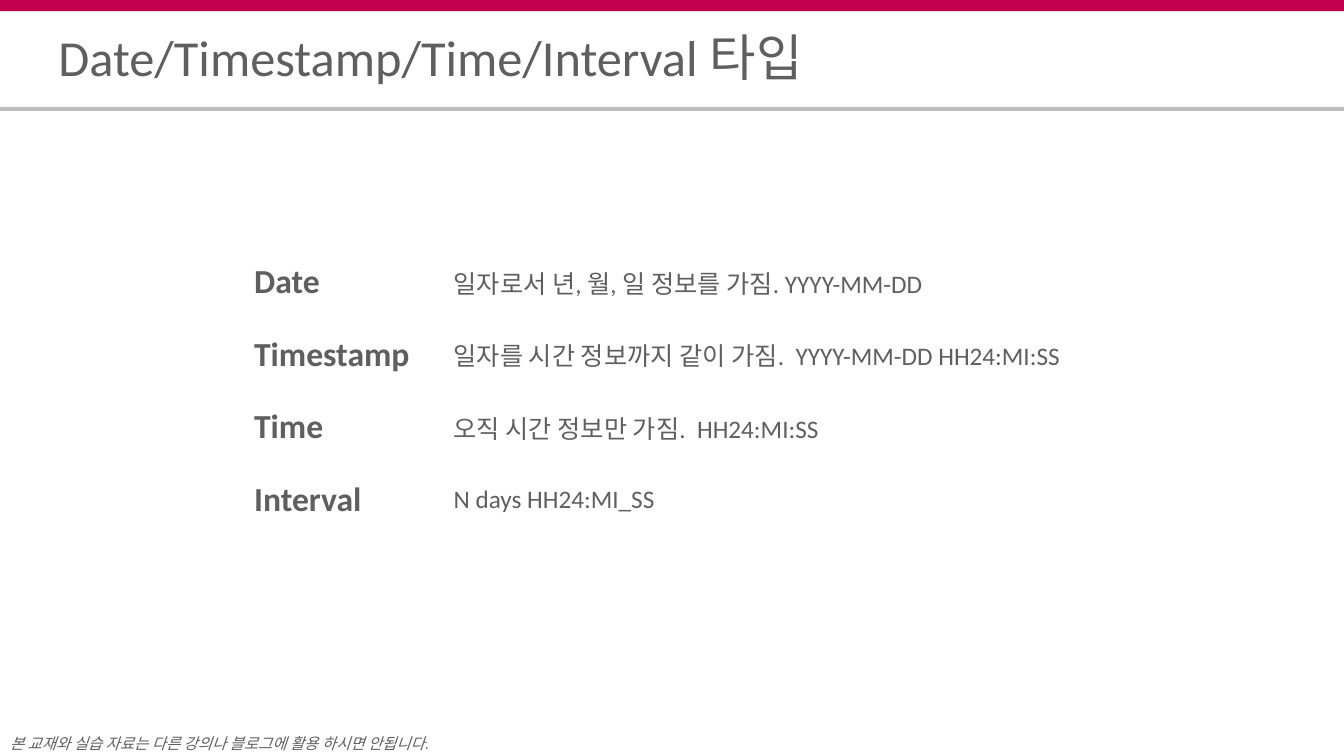
from pptx import Presentation, util as u
from pptx.dml.color import RGBColor
from pptx.enum import shapes, text

TITLE = "Date/Timestamp/Time/Interval 타입"
NOTICE = "본 교재와 실습 자료는 다른 강의나 블로그에 활용 하시면 안됩니다."
TYPES = [
    ("Date", "일자로서 년, 월, 일 정보를 가짐. YYYY-MM-DD"),
    ("Timestamp", "일자를 시간 정보까지 같이 가짐.  YYYY-MM-DD HH24:MI:SS"),
    ("Time", "오직 시간 정보만 가짐.  HH24:MI:SS"),
    ("Interval", "N days HH24:MI_SS"),
]
THEME = {
    "accent": "C3004D",
    "rule": "BFBFBF",
    "text": "5F5F5F",
    "title": {"name": "Calibri", "size": u.Pt(36)},
    "term": {"name": "Calibri", "size": u.Pt(24), "bold": True},
    "detail": {"name": "Calibri", "size": u.Pt(18), "bold": False},
    "notice": {"name": "Arial", "size": u.Pt(11), "italic": True},
}
BARS = [(0, 0, 13.33, 0.11, "accent"), (0, 1.06, 13.33, 0.04, "rule")]
COLUMNS = (1.98, 10.19)
ROW_HEIGHT = 0.72
TABLE_LEFT, TABLE_TOP = 2.42, 2.44


def color(key):
    return RGBColor.from_string(THEME[key])


def write(tf, content, style, spacing=None):
    p = tf.paragraphs[0]
    p.line_spacing = spacing
    r = p.add_run()
    r.text = content
    for name, value in THEME[style].items():
        setattr(r.font, name, value)
    r.font.color.rgb = color("text")


def add_label(s, box, content, style, spacing, anchor):
    tf = s.shapes.add_textbox(*map(u.Inches, box)).text_frame
    settings = {"word_wrap": True, "vertical_anchor": anchor, "margin_left": 0,
                "margin_top": 0, "margin_right": 0, "margin_bottom": 0}
    for name, value in settings.items():
        setattr(tf, name, value)
    write(tf, content, style, spacing)


def add_bar(s, left, top, width, height, fill):
    sp = s.shapes.add_shape(shapes.MSO_SHAPE.RECTANGLE,
                            *map(u.Inches, (left, top, width, height)))
    sp.shadow.inherit = False
    sp.fill.solid()
    sp.fill.fore_color.rgb = color(fill)
    sp.line.fill.background()


def add_types(s):
    box = (TABLE_LEFT, TABLE_TOP, sum(COLUMNS), ROW_HEIGHT * len(TYPES))
    table = s.shapes.add_table(len(TYPES), len(COLUMNS), *map(u.Inches, box)).table
    table.first_row = table.horz_banding = False
    for column, width in zip(table.columns, COLUMNS):
        column.width = u.Inches(width)
    for i, entry in enumerate(TYPES):
        table.rows[i].height = u.Inches(ROW_HEIGHT)
        for j, (content, style) in enumerate(zip(entry, ("term", "detail"))):
            cell = table.cell(i, j)
            cell.fill.background()
            cell.vertical_anchor = text.MSO_ANCHOR.MIDDLE
            write(cell.text_frame, content, style)


def main():
    prs = Presentation()
    prs.slide_width, prs.slide_height = u.Inches(13.33), u.Inches(7.5)
    s = prs.slides.add_slide(prs.slide_layouts[6])
    for bar in BARS:
        add_bar(s, *bar)
    add_label(s, (0.1, 7.19, 4.81, 0.31), NOTICE, "notice", 1.5, text.MSO_ANCHOR.TOP)
    add_label(s, (0.58, 0.33, 12.17, 0.58), TITLE, "title", 0.8, text.MSO_ANCHOR.MIDDLE)
    add_types(s)
    prs.save("out.pptx")


if __name__ == "__main__":
    main()
